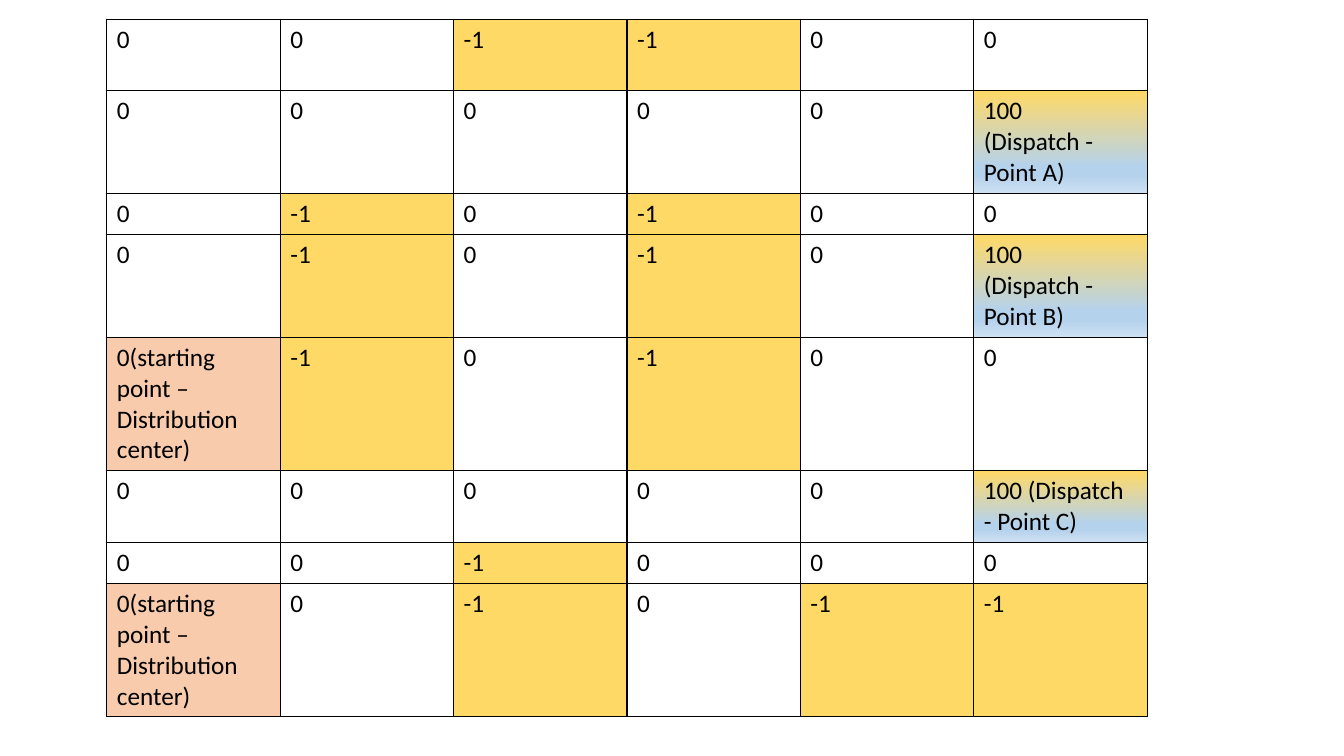
from lxml import etree
from pptx import Presentation
from pptx.dml.color import RGBColor
from pptx.oxml import parse_xml
from pptx.oxml.ns import nsdecls, qn
from pptx.util import Inches, Pt

# Content: the reward grid, row by row
START = "0(starting point – Distribution center)"
REWARDS = [
    ["0", "0", "-1", "-1", "0", "0"],
    ["0", "0", "0", "0", "0", "100\n(Dispatch - Point A)"],
    ["0", "-1", "0", "-1", "0", "0"],
    ["0", "-1", "0", "-1", "0", "100\n(Dispatch - Point B)"],
    [START, "-1", "0", "-1", "0", "0"],
    ["0", "0", "0", "0", "0", "100 (Dispatch - Point C)"],
    ["0", "0", "-1", "0", "0", "0"],
    [START, "0", "-1", "0", "-1", "-1"],
]
ROW_HEIGHTS = [0.71, 1.02, 0.41, 1.02, 1.32, 0.71, 0.41, 1.32]
COLUMN_WIDTH = 1.72
LEFT, TOP = 1.06, 0.19

# Style
FONT, FONT_SIZE = "Calibri", 18
BLACK = "000000"
CELL_FILLS = {"-1": "FFD966", START: "F8CBAD"}
DISPATCH_STOPS = [(0, "FFD966"), (74, "B5D2EC"), (83, "B5D2EC"), (100, "CEE1F2")]
BORDER_TAGS = ("a:lnL", "a:lnR", "a:lnT", "a:lnB")


def color(hex_string):
    return RGBColor.from_string(hex_string)


def add_dispatch_gradient(cell):
    stops = "".join(
        f'<a:gs pos="{percent * 1000}"><a:srgbClr val="{stop}"/></a:gs>'
        for percent, stop in DISPATCH_STOPS
    )
    cell._tc.get_or_add_tcPr().append(parse_xml(
        f'<a:gradFill {nsdecls("a")} rotWithShape="1"><a:gsLst>{stops}</a:gsLst>'
        '<a:lin ang="5400000" scaled="0"/></a:gradFill>'
    ))


def fill_cell(cell, reward):
    if reward.startswith("100"):
        add_dispatch_gradient(cell)
    elif reward in CELL_FILLS:
        cell.fill.solid()
        cell.fill.fore_color.rgb = color(CELL_FILLS[reward])
    else:
        cell.fill.background()


def add_borders(cell):
    properties = cell._tc.get_or_add_tcPr()
    for position, tag in enumerate(BORDER_TAGS):
        line = etree.Element(qn(tag), w=str(Pt(1)))
        solid = etree.SubElement(line, qn("a:solidFill"))
        etree.SubElement(solid, qn("a:srgbClr"), val=BLACK)
        properties.insert(position, line)


def write_cell(cell, reward):
    cell.text_frame.text = reward
    for paragraph in cell.text_frame.paragraphs:
        for run in paragraph.runs:
            run.font.name = FONT
            run.font.size = Pt(FONT_SIZE)
            run.font.bold = False
            run.font.color.rgb = color(BLACK)


presentation = Presentation()
presentation.slide_width = Inches(13.33)
presentation.slide_height = Inches(7.5)
slide = presentation.slides.add_slide(presentation.slide_layouts[6])

# Reward table
column_count = len(REWARDS[0])
table = slide.shapes.add_table(
    len(REWARDS), column_count, Inches(LEFT), Inches(TOP),
    Inches(COLUMN_WIDTH * column_count), Inches(sum(ROW_HEIGHTS)),
).table
table.first_row = False
table.horz_banding = False
for column in table.columns:
    column.width = Inches(COLUMN_WIDTH)
for row, height, rewards in zip(table.rows, ROW_HEIGHTS, REWARDS):
    row.height = Inches(height)
    for cell, reward in zip(row.cells, rewards):
        write_cell(cell, reward)
        fill_cell(cell, reward)
        add_borders(cell)

presentation.save("out.pptx")
